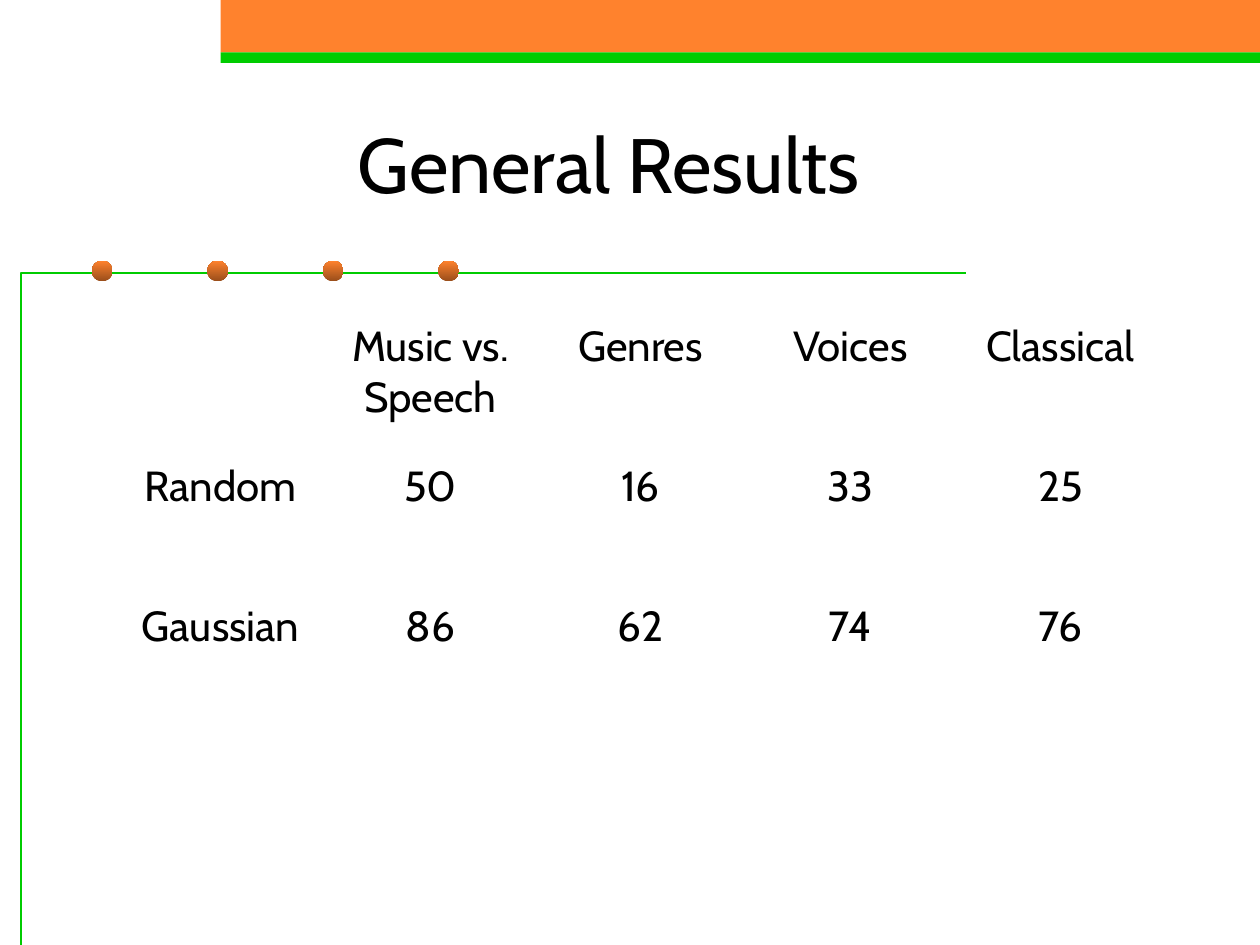
import pptx
import pptx.dml.color
import pptx.enum.shapes
import pptx.enum.text
import pptx.util

Pt = pptx.util.Pt
RGBColor = pptx.dml.color.RGBColor
MSO_SHAPE = pptx.enum.shapes.MSO_SHAPE

ORANGE = RGBColor(0xFF, 0x82, 0x2D)
BROWN = RGBColor(0x9A, 0x4E, 0x1B)
GREEN = RGBColor(0x00, 0xCC, 0x00)
BLACK = RGBColor(0x00, 0x00, 0x00)

TITLE_FONT = {"name": "Cabin", "size": Pt(44), "bold": False}
CELL_FONT = {"name": "Cabin", "size": Pt(24), "bold": False}
CELL_PARAGRAPH = {"alignment": pptx.enum.text.PP_ALIGN.CENTER, "space_before": Pt(6)}
TITLE_FRAME = {
    "word_wrap": True,
    "auto_size": pptx.enum.text.MSO_AUTO_SIZE.NONE,
    "vertical_anchor": pptx.enum.text.MSO_ANCHOR.MIDDLE,
}
TABLE_FLAGS = {"first_row": False, "horz_banding": False}

RESULTS = [
    ["", "Music vs. Speech", "Genres", "Voices", "Classical"],
    ["Random", "50", "16", "33", "25"],
    ["Gaussian", "86", "62", "74", "76"],
]


def apply_format(target, values):
    """Set each attribute in values on the target."""
    for name, value in values.items():
        setattr(target, name, value)


def add_plain_shape(slide, kind, left, top, width, height):
    """Add a preset shape without line or shadow."""
    shape = slide.shapes.add_shape(kind, Pt(left), Pt(top), Pt(width), Pt(height))
    shape.shadow.inherit = False
    shape.line.fill.background()
    return shape


def add_banner(slide, left, top, width, height):
    """Draw the orange band with a green strip along its foot."""
    strip_height = height / 6
    band_height = height - strip_height
    for color, offset, part_height in (
        (ORANGE, 0, band_height),
        (GREEN, band_height, strip_height),
    ):
        shape = add_plain_shape(
            slide, MSO_SHAPE.RECTANGLE, left, top + offset, width, part_height
        )
        shape.fill.solid()
        shape.fill.fore_color.rgb = color


def add_frame(slide, left, top, width, height):
    """Draw the green corner line with four evenly spaced beads."""
    builder = slide.shapes.build_freeform(Pt(left), Pt(top + height))
    builder.add_line_segments(
        [(Pt(left), Pt(top)), (Pt(left + width), Pt(top))], close=False
    )
    corner = builder.convert_to_shape()
    corner.shadow.inherit = False
    corner.fill.background()
    corner.line.color.rgb = GREEN
    corner.line.width = Pt(0.75)

    bead_size, first_bead, bead_pitch = 11.75, 40.5, 66
    for index in range(4):
        bead = add_plain_shape(
            slide,
            MSO_SHAPE.OVAL,
            left + first_bead + index * bead_pitch,
            top - 7,
            bead_size,
            bead_size,
        )
        bead.fill.gradient()
        bead.fill.gradient_angle = 90
        for stop, color in zip(bead.fill.gradient_stops, (BROWN, ORANGE)):
            stop.color.rgb = color


def add_title(slide, left, top, width, height):
    """Place and format the title placeholder."""
    title = slide.shapes.title
    box = {"left": left, "top": top, "width": width, "height": height}
    apply_format(title, {name: Pt(value) for name, value in box.items()})
    title.text_frame.text = "General Results"
    apply_format(title.text_frame, TITLE_FRAME)
    paragraph = title.text_frame.paragraphs[0]
    paragraph.alignment = pptx.enum.text.PP_ALIGN.CENTER
    apply_format(paragraph.runs[0].font, TITLE_FONT)
    paragraph.runs[0].font.color.rgb = BLACK


def add_results_table(slide, left, top, width, height):
    """Add the table of results with equal rows and columns."""
    table = slide.shapes.add_table(
        len(RESULTS), len(RESULTS[0]), Pt(left), Pt(top), Pt(width), Pt(height)
    ).table
    apply_format(table, TABLE_FLAGS)
    for row_index, row in enumerate(RESULTS):
        for column_index, text in enumerate(row):
            cell = table.cell(row_index, column_index)
            cell.fill.background()
            paragraph = cell.text_frame.paragraphs[0]
            apply_format(paragraph, CELL_PARAGRAPH)
            if text:
                run = paragraph.add_run()
                run.text = text
                apply_format(run.font, CELL_FONT)
                run.font.color.rgb = BLACK


def main():
    """Build the slide and save the presentation."""
    presentation = pptx.Presentation()
    presentation.slide_width = Pt(720)
    presentation.slide_height = Pt(540)
    slide = presentation.slides.add_slide(presentation.slide_layouts[5])
    add_banner(slide, 126, 0, 594, 36)
    add_frame(slide, 12, 156, 540, 384)
    add_title(slide, 42, 48, 612, 90)
    add_results_table(slide, 66, 180, 600, 240)
    presentation.save("out.pptx")


if __name__ == "__main__":
    main()
